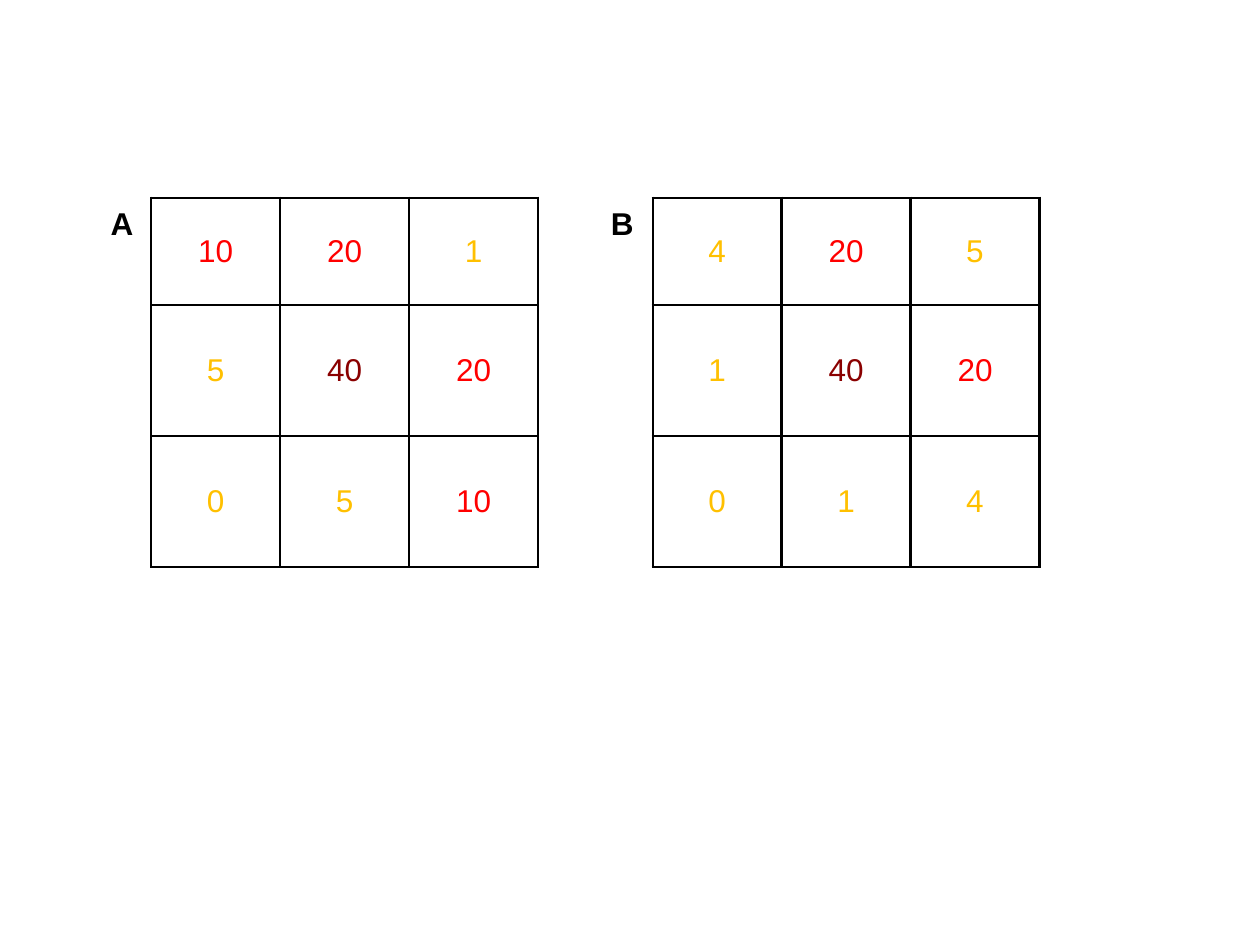
from lxml.etree import SubElement
from pptx import Presentation
from pptx.dml.color import RGBColor
from pptx.enum.text import MSO_ANCHOR, MSO_AUTO_SIZE, PP_ALIGN
from pptx.oxml.ns import qn
from pptx.util import Inches, Pt

COLORS = {"text": "000000", "border": "000000",
          "low": "FFC000", "high": "FF0000", "peak": "8A0000"}
ROW_HEIGHTS = [0.85, 1.04, 1.04]
GRID_A = [[10, 20, 1], [5, 40, 20], [0, 5, 10]]
GRID_B = [[4, 20, 5], [1, 40, 20], [0, 1, 4]]


def value_color(value):
    if value >= 40:
        return COLORS["peak"]
    return COLORS["high"] if value >= 10 else COLORS["low"]


def format_font(paragraph, color, bold=False):
    font = paragraph.runs[0].font
    font.name = "Arial"
    font.size = Pt(18)
    font.bold = bold
    font.color.rgb = RGBColor.from_string(color)


def add_borders(cell):
    properties = cell._tc.get_or_add_tcPr()
    for side in ("a:lnL", "a:lnR", "a:lnT", "a:lnB"):
        line = SubElement(properties, qn(side), w=str(Pt(1.47)))
        fill = SubElement(line, qn("a:solidFill"))
        SubElement(fill, qn("a:srgbClr"), val=COLORS["border"])


def add_label(slide, text, left, top, width, height):
    label = slide.shapes.add_textbox(Inches(left), Inches(top),
                                     Inches(width), Inches(height))
    text_frame = label.text_frame
    text_frame.word_wrap = True
    text_frame.auto_size = MSO_AUTO_SIZE.SHAPE_TO_FIT_TEXT
    text_frame.text = text
    format_font(text_frame.paragraphs[0], COLORS["text"], bold=True)


def add_grid(slide, values, left, top, width, height):
    frame = slide.shapes.add_table(len(values), len(values[0]), Inches(left),
                                   Inches(top), Inches(width), Inches(height))
    table = frame.table
    table.first_row = False
    table.horz_banding = False
    for row, row_height in zip(table.rows, ROW_HEIGHTS):
        row.height = Inches(row_height)
    for row, row_values in zip(table.rows, values):
        for cell, value in zip(row.cells, row_values):
            add_borders(cell)
            cell.fill.background()
            cell.vertical_anchor = MSO_ANCHOR.MIDDLE
            paragraph = cell.text_frame.paragraphs[0]
            paragraph.text = str(value)
            paragraph.alignment = PP_ALIGN.CENTER
            format_font(paragraph, value_color(value))


def main():
    presentation = Presentation()
    presentation.slide_width = Inches(10)
    presentation.slide_height = Inches(7.5)
    slide = presentation.slides.add_slide(presentation.slide_layouts[6])
    top = 1.57
    for text, values, label_left, grid_left in (("A", GRID_A, 0.78, 1.2),
                                                ("B", GRID_B, 4.75, 5.18)):
        add_grid(slide, values, grid_left, top, 3.07, sum(ROW_HEIGHTS))
        add_label(slide, text, label_left, top, 0.41, 0.4)
    presentation.save("out.pptx")


if __name__ == "__main__":
    main()
